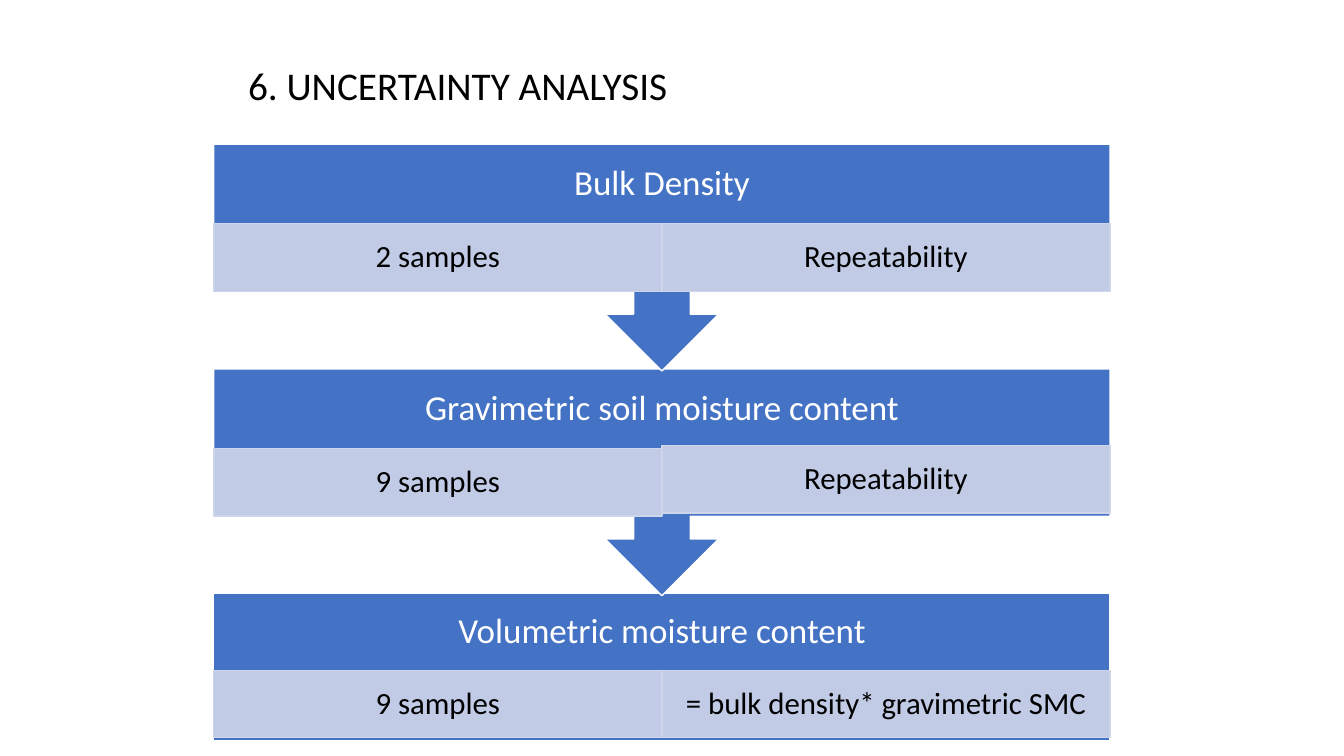
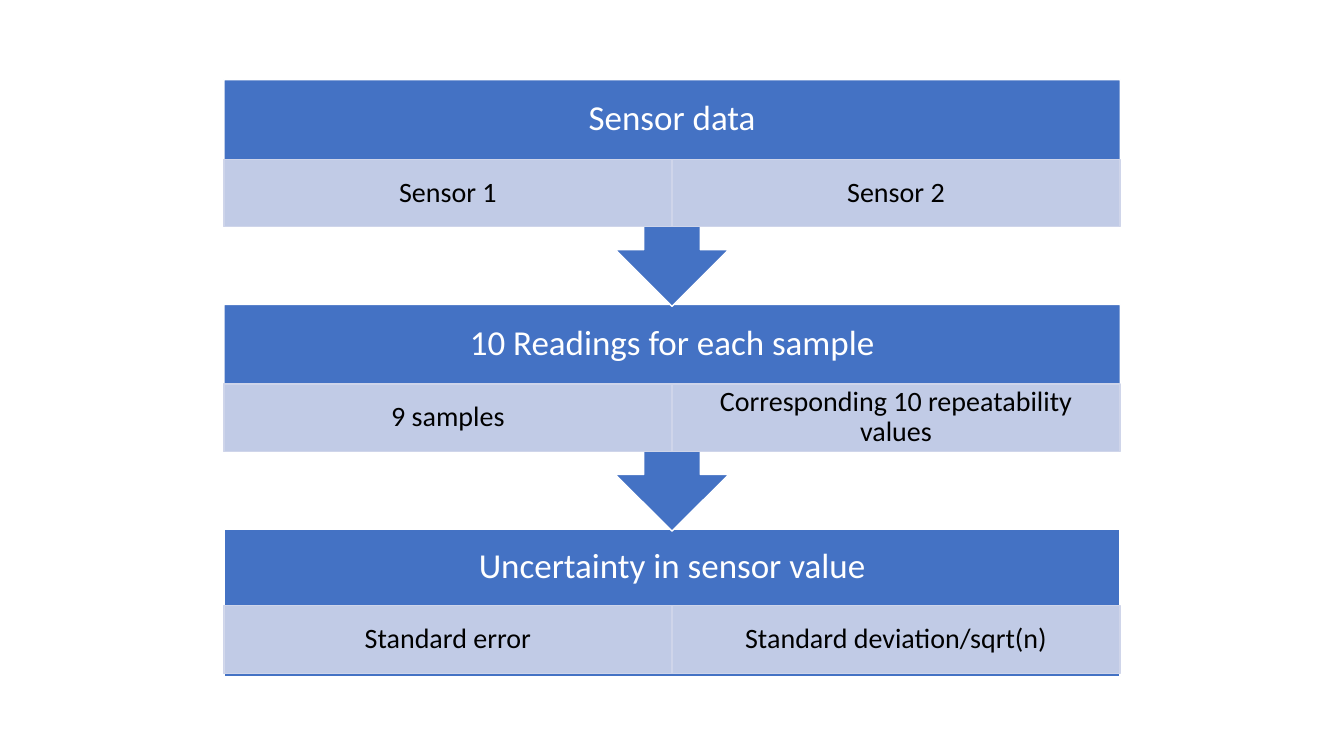
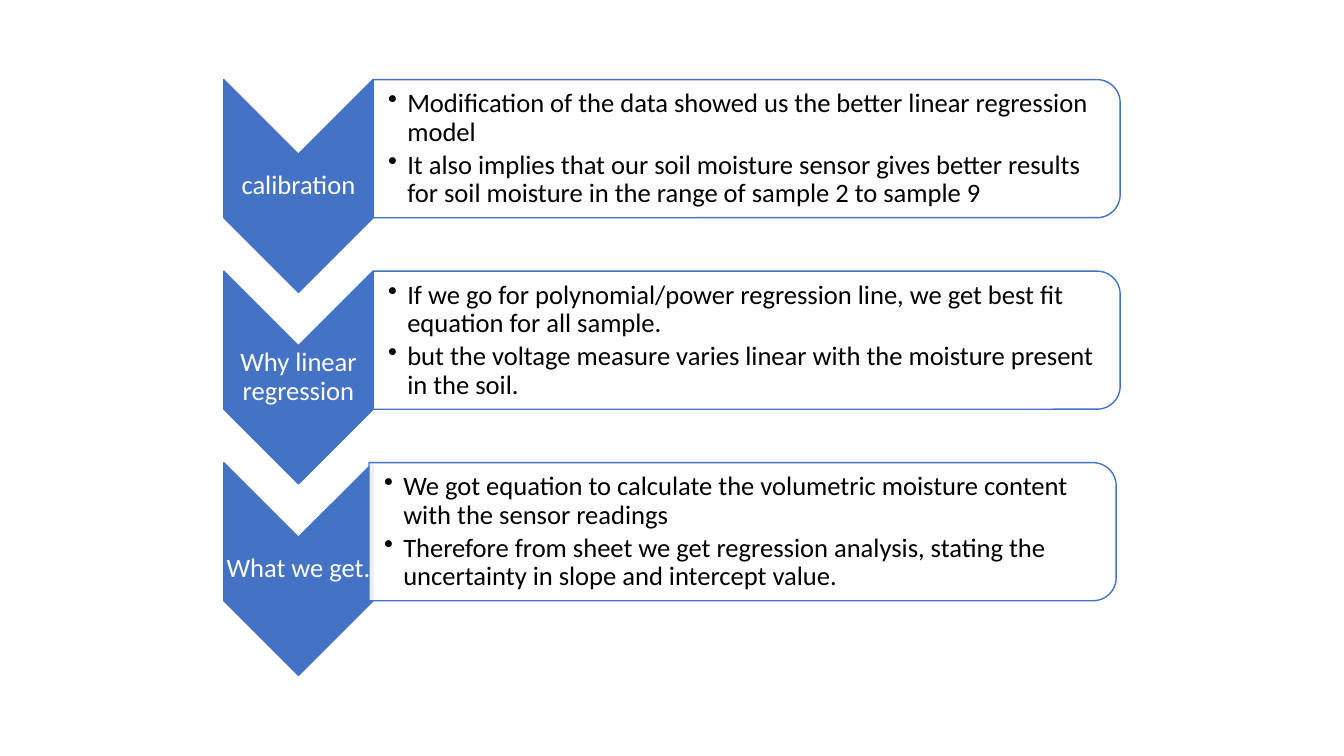
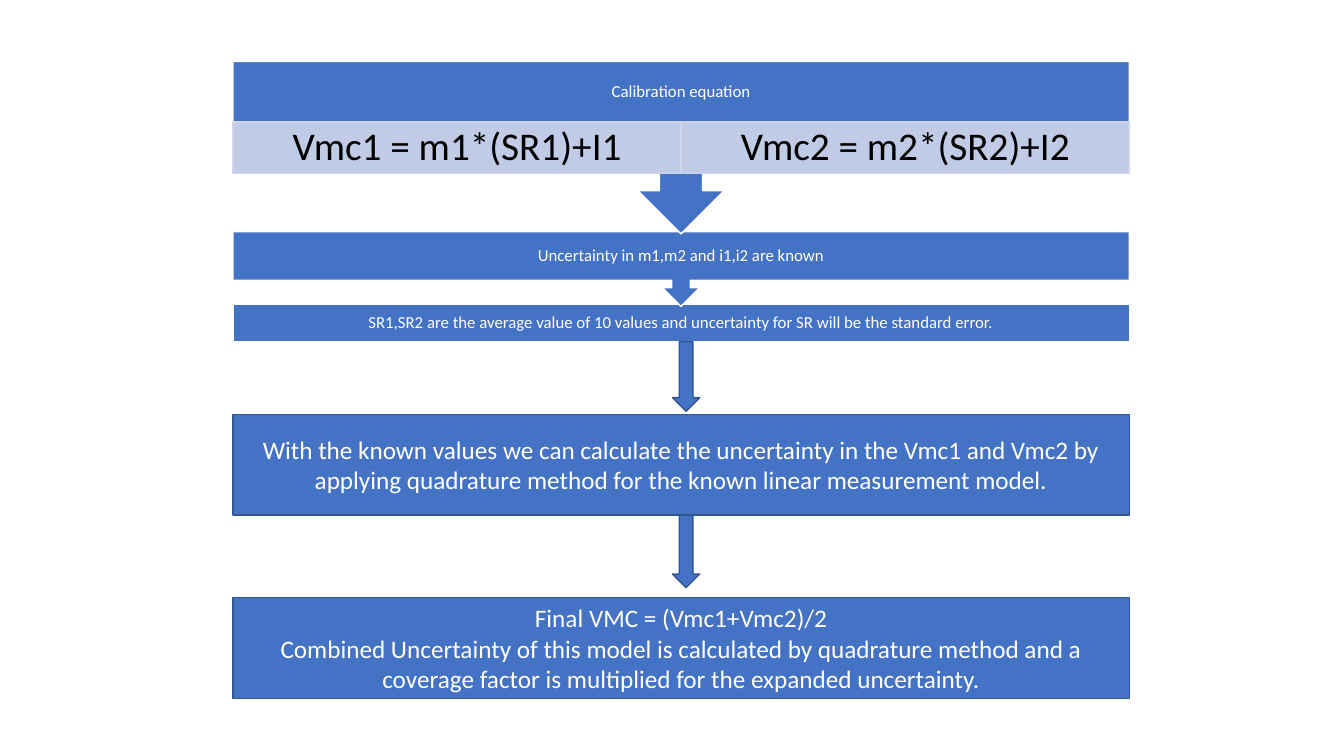
from pptx import Presentation
from pptx.dml.color import RGBColor
from pptx.enum.shapes import MSO_SHAPE as Preset
from pptx.enum.text import MSO_ANCHOR as Anchor, MSO_AUTO_SIZE as AutoSize, PP_ALIGN as Align
from pptx.oxml.ns import qn
from pptx.util import Inches, Pt
from lxml.etree import SubElement

COLORS = {
    "blue": "4472C4",
    "dark_blue": "325491",
    "pale_blue": "CFD5EA",
    "white": "FFFFFF",
    "black": "000000",
}
FONT = "Calibri"
BLOCK_WIDTH = 8.89
CELL_WIDTH = BLOCK_WIDTH / 2
STEP = 2.23
CALLOUT_BODY = 0.65


def add_box(slide, preset, left, top, width, height, fill="blue", line="white", opacity=100):
    shape = slide.shapes.add_shape(preset, Inches(left), Inches(top), Inches(width), Inches(height))
    shape.shadow.inherit = False
    shape.fill.solid()
    shape.fill.fore_color.rgb = RGBColor.from_string(COLORS[fill])
    shape.line.color.rgb = RGBColor.from_string(COLORS[line])
    shape.line.width = Pt(1)
    if opacity < 100:
        color = shape._element.spPr.find(qn("a:solidFill"))[0]
        SubElement(color, qn("a:alpha")).set("val", str(opacity * 1000))
    return shape


def write(shape, lines, size, color="white", insets=(0.1, 0.05, 0.1, 0.05),
          align=Align.CENTER, anchor=Anchor.MIDDLE, spacing=0.9):
    frame = shape.text_frame
    frame.word_wrap = True
    frame.auto_size = AutoSize.NONE
    frame.vertical_anchor = anchor
    frame.margin_left, frame.margin_top, frame.margin_right, frame.margin_bottom = map(Inches, insets)
    frame.text = "\n".join(lines)
    for paragraph in frame.paragraphs:
        paragraph.alignment = align
        paragraph.line_spacing = spacing
        paragraph.font.name = FONT
        paragraph.font.size = Pt(size)
        paragraph.font.color.rgb = RGBColor.from_string(COLORS[color])


presentation = Presentation()
presentation.slide_width = Inches(13.33)
presentation.slide_height = Inches(7.5)
title_only, blank = presentation.slide_layouts[5], presentation.slide_layouts[6]
slides = [presentation.slides.add_slide(layout) for layout in (title_only, blank, blank, blank)]

title = slides[0].shapes.title
title.left, title.top, title.width, title.height = map(Inches, (2.36, 0.56, 6.67, 0.57))
write(title, ["6. UNCERTAINTY ANALYSIS"], 28, "black", align=Align.LEFT, anchor=Anchor.TOP, spacing=1)

stacks = [
    {"slide": 0, "left": 2.12, "heading_size": 25, "heading_inset": 0.19,
     "cell_size": 22, "cell_insets": (0.17, 0.03, 0.17, 0.03), "cell_height": 0.67,
     "rows": [
         (1.43, 2.25, 0.79, "Bulk Density", ["2 samples", "Repeatability"]),
         (1.43 + STEP, 2.25, 0.79, "Gravimetric soil moisture content", ["9 samples", "Repeatability"]),
         (1.43 + 2 * STEP, 1.46, 0.76, "Volumetric moisture content",
          ["9 samples", "= bulk density* gravimetric SMC"]),
     ]},
    {"slide": 1, "left": 2.22, "heading_size": 25, "heading_inset": 0.19,
     "cell_size": 20, "cell_insets": (0.16, 0.03, 0.16, 0.03), "cell_height": 0.67,
     "rows": [
         (0.79, 2.25, 0.79, "Sensor data", ["Sensor 1", "Sensor 2"]),
         (0.79 + STEP, 2.25, 0.79, "10 Readings for each sample",
          ["9 samples", "Corresponding 10 repeatability values"]),
         (0.79 + 2 * STEP, 1.46, 0.76, "Uncertainty in sensor value",
          ["Standard error", "Standard deviation/sqrt(n)"]),
     ]},
    {"slide": 3, "left": 2.31, "heading_size": 12, "heading_inset": 0.09,
     "cell_size": 28, "cell_insets": (0.22, 0.04, 0.22, 0.04), "cell_height": 0.51,
     "rows": [
         (0.61, 1.71, 0.6, "Calibration equation", ["Vmc1 = m1*(SR1)+I1", "Vmc2 = m2*(SR2)+I2"]),
         (2.3, 0.74, 0.48, "Uncertainty in m1,m2 and i1,i2 are known", []),
         (3.02, 0.37, 0.37,
          "SR1,SR2 are the average value of 10 values and uncertainty for SR will be the standard error.", []),
     ]},
]

cells = {}
for stack in stacks:
    slide, left, inset = slides[stack["slide"]], stack["left"], stack["heading_inset"]
    last = len(stack["rows"]) - 1
    for index, (top, height, heading_height, heading, labels) in reversed(list(enumerate(stack["rows"]))):
        preset = Preset.RECTANGLE if index == last else Preset.DOWN_ARROW_CALLOUT
        body_height = height if index == last else height * CALLOUT_BODY
        block = add_box(slide, preset, left, top, BLOCK_WIDTH, height)
        bottom_inset = max(inset, body_height - heading_height + inset)
        write(block, [heading], stack["heading_size"], insets=(inset, inset, inset, bottom_inset))
        for column, label in enumerate(labels):
            cell = add_box(slide, Preset.RECTANGLE, left + column * CELL_WIDTH, top + heading_height,
                           CELL_WIDTH, stack["cell_height"], "pale_blue", "pale_blue", 90)
            write(cell, [label], stack["cell_size"], "black", stack["cell_insets"])
            cells[stack["slide"], index, column] = cell
cells[0, 1, 1].top -= Inches(0.03)

topics = [
    ("calibration", 3.7, [
        "Modification of the data showed us the better linear regression model",
        "It also implies that our soil moisture sensor gives better results for soil moisture "
        "in the range of sample 2 to sample 9"]),
    ("Why linear regression", 3.7, [
        "If we go for polynomial/power regression line, we get best fit equation for all sample.",
        "but the voltage measure varies linear with the moisture present in the soil."]),
    ("What we get.", 3.66, [
        "We got equation to calculate the volumetric moisture content with the sensor readings",
        "Therefore from sheet we get regression analysis, stating the uncertainty in slope "
        "and intercept value."]),
]
slide = slides[2]
for index, (topic, panel_left, points) in enumerate(topics):
    top = 0.79 + index * 1.9
    outlines = [
        (Preset.CHEVRON, 2.22, 1.48, 2.11, "blue", 100),
        (Preset.ROUND_2_SAME_RECTANGLE, panel_left, 7.41, 1.37, "white", 90),
    ]
    for preset, left, width, height, fill, opacity in outlines:
        turn = (width - height) / 2
        outline = add_box(slide, preset, left + turn, top - turn, height, width, fill, "blue", opacity)
        outline.rotation = 90
    label = slide.shapes.add_textbox(Inches(2.22), Inches(top + 0.74), Inches(1.48), Inches(0.63))
    write(label, [topic], 19, insets=(0.01,) * 4)
    details = slide.shapes.add_textbox(Inches(panel_left), Inches(top + 0.07), Inches(7.34), Inches(1.24))
    write(details, points, 19, "black", (0.15, 0.01, 0.01, 0.01), Align.LEFT)
    for paragraph in details.text_frame.paragraphs:
        paragraph.space_after = Pt(3)
        properties = paragraph._p.get_or_add_pPr()
        properties.set("marL", str(Inches(0.19)))
        properties.set("indent", str(-Inches(0.19)))
        bullet = properties.makeelement(qn("a:buChar"), {"char": "•"})
        properties.find(qn("a:defRPr")).addprevious(bullet)

conclusions = [
    (4.11, 3.39, 0.69, [
        "With the known values we can calculate the uncertainty in the Vmc1 and Vmc2 by applying "
        "quadrature method for the known linear measurement model."]),
    (5.93, 5.11, 0.72, [
        "Final VMC = (Vmc1+Vmc2)/2",
        "Combined Uncertainty of this model is calculated by quadrature method and a coverage "
        "factor is multiplied for the expanded uncertainty."]),
]
for top, arrow_top, arrow_height, lines in conclusions:
    conclusion = add_box(slides[3], Preset.RECTANGLE, 2.31, top, BLOCK_WIDTH, 1, line="dark_blue")
    write(conclusion, lines, 18, spacing=1)
    add_box(slides[3], Preset.DOWN_ARROW, 6.67, arrow_top, 0.27, arrow_height, line="dark_blue")

presentation.save("out.pptx")
